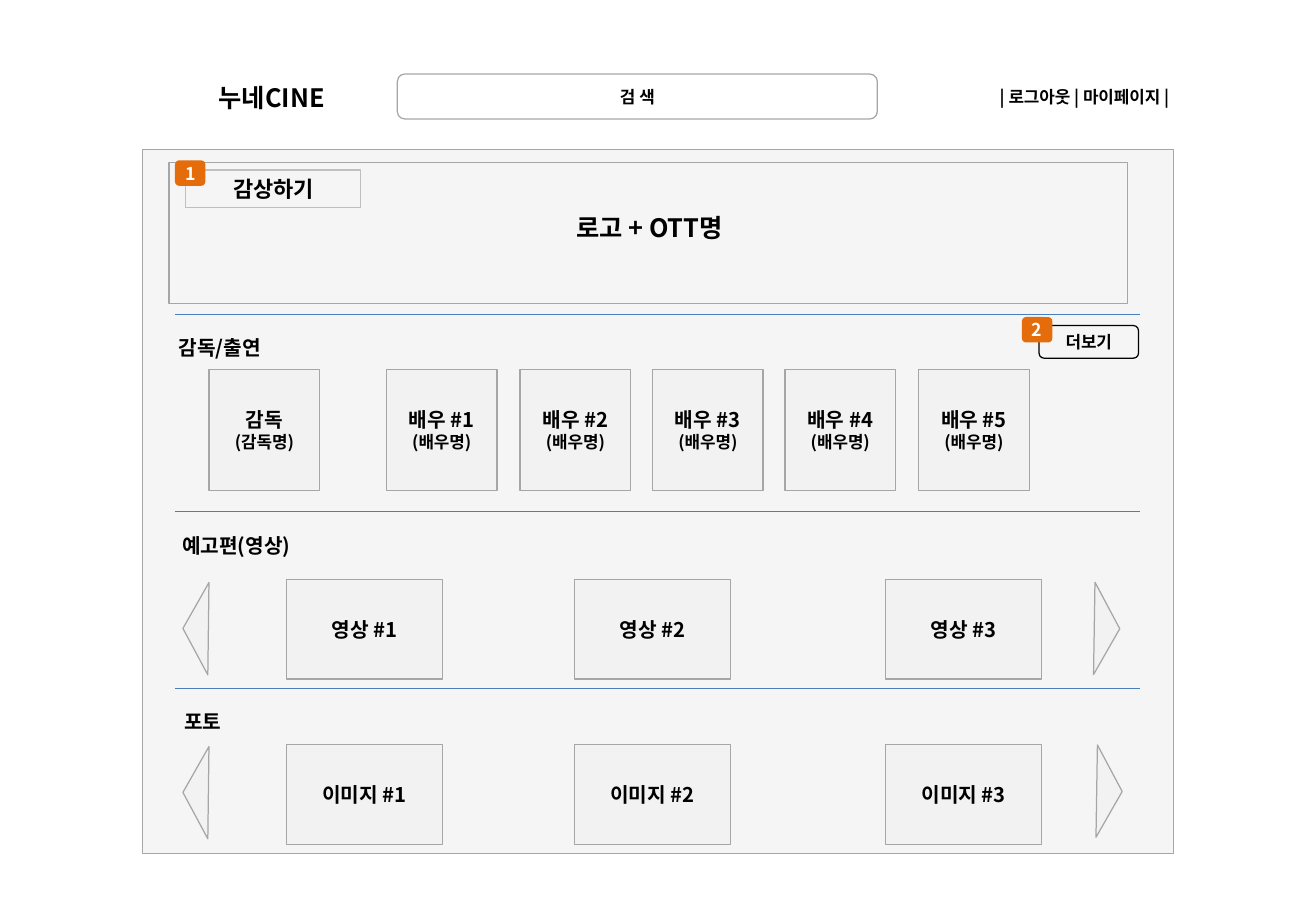
"""Build the wireframe slide for a film detail page."""
from lxml import etree
from pptx import Presentation
from pptx import util as u
from pptx.dml.color import RGBColor
from pptx.enum import shapes, text
from pptx.oxml.ns import qn

EMU_PER_PX = 9144
FONT = "Noto Sans CJK KR"
COLORS = {
    "panel": "F2F2F2",
    "border": "A6A6A6",
    "pale": "BFBFBF",
    "divider": "4A7EBB",
    "badge": "E46C0A",
    "ink": "000000",
    "white": "FFFFFF",
}
RECT = shapes.MSO_SHAPE.RECTANGLE
ROUNDED = shapes.MSO_SHAPE.ROUNDED_RECTANGLE
TRIANGLE = shapes.MSO_SHAPE.ISOSCELES_TRIANGLE
CENTER = text.PP_ALIGN.CENTER
LEFT = text.PP_ALIGN.LEFT
RIGHT = text.PP_ALIGN.RIGHT
CARD_COLUMNS = (236, 473, 729)


def px(value):
    return u.Emu(value * EMU_PER_PX)


def color(name):
    return RGBColor.from_string(COLORS[name])


def write(shape, lines, align=CENTER, ink="ink", side_inset=10):
    frame = shape.text_frame
    frame_format = {
        "word_wrap": True,
        "auto_size": text.MSO_AUTO_SIZE.NONE,
        "vertical_anchor": text.MSO_ANCHOR.MIDDLE,
        "margin_left": px(side_inset),
        "margin_right": px(side_inset),
        "margin_top": px(5),
        "margin_bottom": px(5),
    }
    for name, value in frame_format.items():
        setattr(frame, name, value)
    for index, (words, size) in enumerate(lines):
        paragraph = frame.add_paragraph() if index else frame.paragraphs[0]
        paragraph.alignment = align
        run = paragraph.add_run()
        run.text = words
        font_format = {"name": FONT, "size": u.Pt(size), "bold": True}
        for name, value in font_format.items():
            setattr(run.font, name, value)
        run.font.color.rgb = color(ink)
        properties = run.font._element
        etree.SubElement(properties, qn("a:ea"), typeface=FONT)


def add_box(slide, box, kind=RECT, fill=None, opacity=100, line="border", width=0.75):
    shape = slide.shapes.add_shape(kind, *map(px, box))
    shape.shadow.inherit = False
    if fill:
        shape.fill.solid()
        shape.fill.fore_color.rgb = color(fill)
        if opacity < 100:
            srgb = shape.fill._xPr.find(".//" + qn("a:srgbClr"))
            etree.SubElement(srgb, qn("a:alpha"), val=str(opacity * 1000))
    else:
        shape.fill.background()
    if line:
        shape.line.color.rgb = color(line)
        shape.line.width = u.Pt(width)
    else:
        shape.line.fill.background()
    return shape


def add_card(slide, box, lines):
    write(add_box(slide, box, fill="panel", opacity=70), lines)


def add_label(slide, box, words, size, align=CENTER):
    write(slide.shapes.add_textbox(*map(px, box)), [(words, size)], align)


def add_divider(slide, top):
    line = slide.shapes.add_connector(
        shapes.MSO_CONNECTOR.STRAIGHT, px(144), px(top), px(938), px(top))
    line.line.color.rgb = color("divider")
    line.line.width = u.Pt(0.75)
    etree.SubElement(line._element.spPr, qn("a:effectLst"))


def add_arrow(slide, left, top, rotation):
    arrow = add_box(slide, (left, top, 76, 21), TRIANGLE, "panel", 70)
    arrow.rotation = rotation


def add_badge(slide, left, top, number):
    badge = add_box(slide, (left, top, 25, 21), ROUNDED, "badge", line=None)
    write(badge, [(number, 10.5)], ink="white", side_inset=0)


def add_header(slide):
    title = slide.shapes.title
    placement = dict(zip(("left", "top", "width", "height"), (170, 63, 123, 35)))
    for name, value in placement.items():
        setattr(title, name, px(value))
    write(title, [("누네CINE", 15)], LEFT)
    write(add_box(slide, (327, 61, 395, 37), ROUNDED), [("검 색", 10)])
    add_label(slide, (765, 67, 207, 26), "| 로그아웃 | 마이페이지 |", 10, RIGHT)


def add_hero(slide):
    watch = add_box(slide, (153, 140, 144, 31), line="pale", width=0)
    write(watch, [("감상하기", 13)])
    add_box(slide, (139, 134, 789, 116))
    add_label(slide, (418, 170, 233, 35), "로고 + OTT명", 15)
    add_badge(slide, 144, 132, "1")


def add_cast(slide):
    add_label(slide, (126, 268, 110, 36), "감독/출연", 12)
    more = add_box(slide, (855, 268, 82, 27), ROUNDED, line="ink", width=0)
    write(more, [("더보기", 10)])
    add_badge(slide, 841, 261, "2")
    add_card(slide, (172, 304, 91, 100), [("감독", 12), ("(감독명)", 10)])
    for index in range(5):
        left = 318 + round(index * 109.5)
        add_card(slide, (left, 304, 91, 100),
                 [(f"배우 #{index + 1}", 12), ("(배우명)", 10)])


def add_carousel(slide, top, name, arrows):
    for number, left in enumerate(CARD_COLUMNS, 1):
        add_card(slide, (left, top, 128, 82), [(f"{name} #{number}", 12)])
    for arrow in arrows:
        add_arrow(slide, *arrow)


def main():
    presentation = Presentation()
    presentation.slide_width = px(1083)
    presentation.slide_height = px(750)
    slide = presentation.slides.add_slide(presentation.slide_layouts[5])
    add_box(slide, (117, 123, 849, 580), fill="panel", opacity=70)
    for top in (259, 421, 567):
        add_divider(slide, top)
    add_header(slide)
    add_hero(slide)
    add_cast(slide)
    add_label(slide, (126, 431, 137, 36), "예고편(영상)", 12)
    add_carousel(slide, 477, "영상", [(123, 507, 270.7), (873, 507, 90.9)])
    add_label(slide, (126, 576, 82, 36), "포토", 12)
    add_carousel(slide, 613, "이미지", [(123, 642, 270.7), (875, 641, 90.9)])
    presentation.save("out.pptx")


if __name__ == "__main__":
    main()
